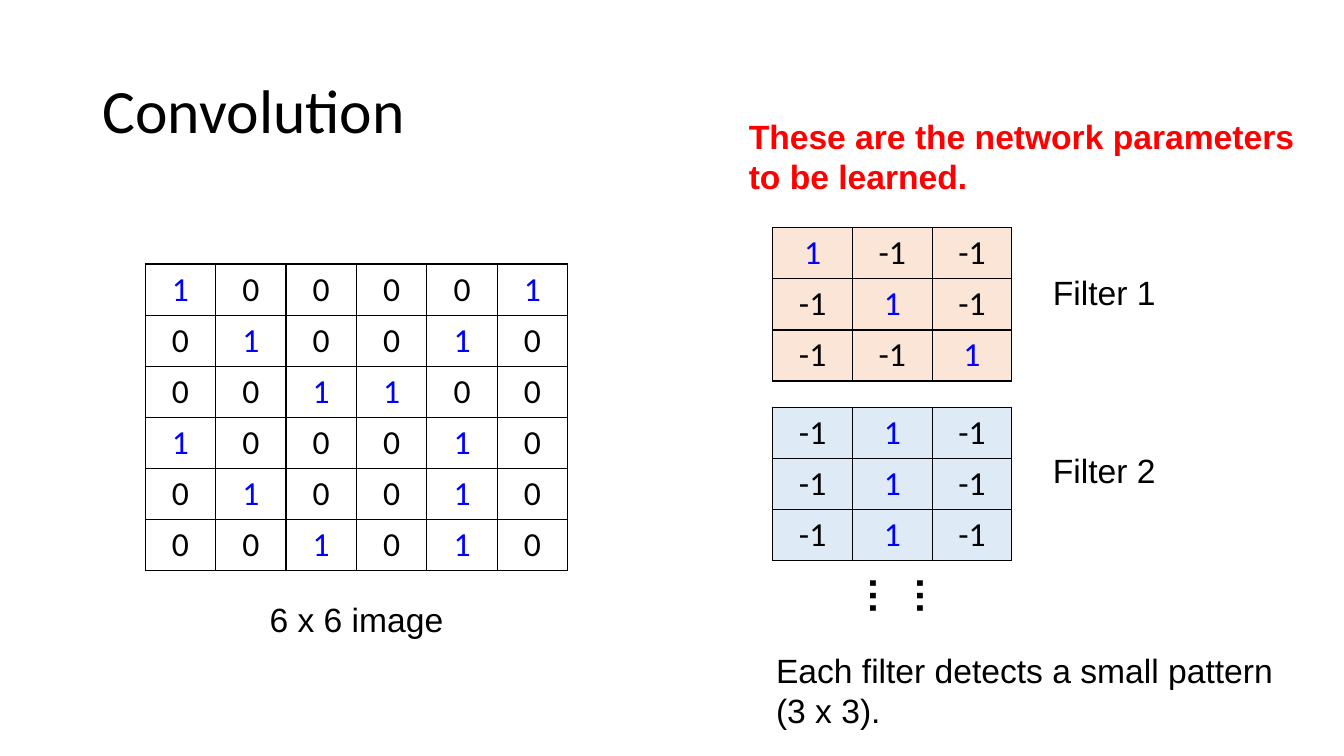
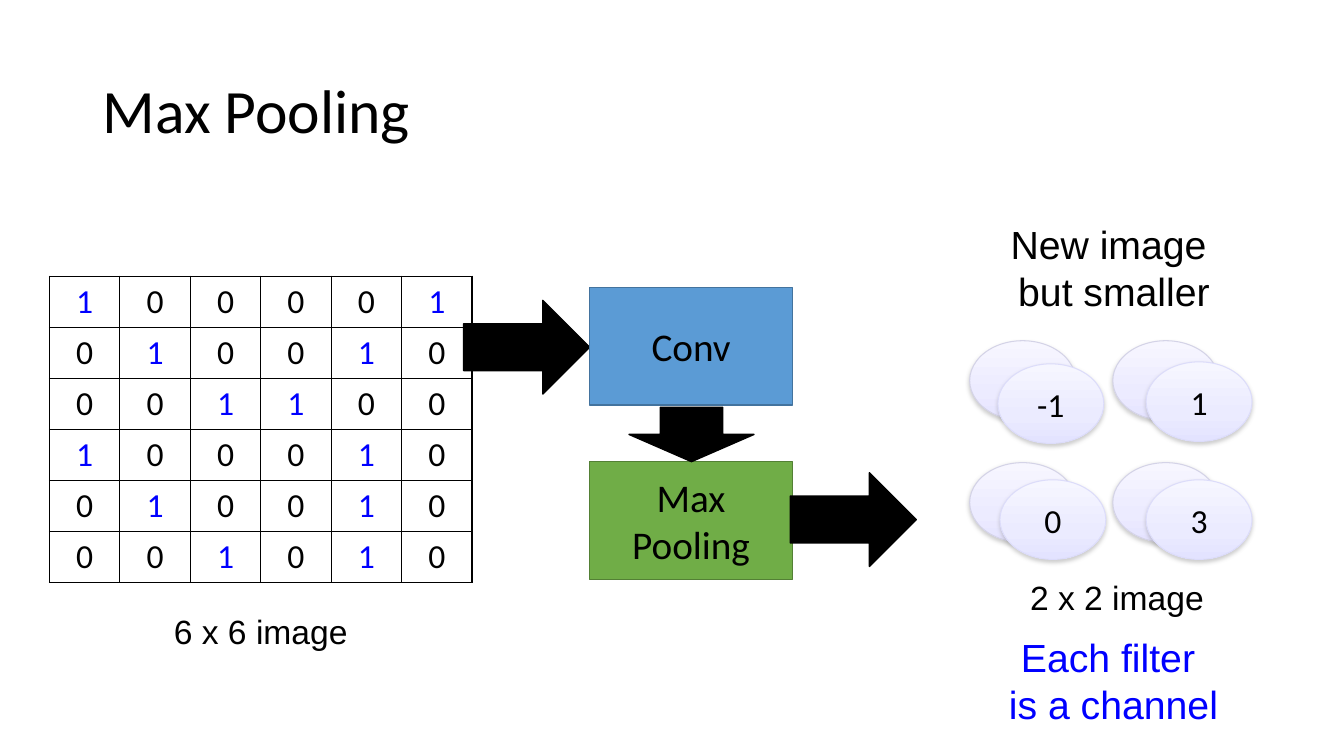
"""Build two slides on convolution and max pooling."""
from pptx import Presentation
from pptx.dml.color import RGBColor
from pptx.enum.shapes import MSO_SHAPE as SHAPE
from pptx.enum.text import MSO_ANCHOR as ANCHOR, PP_ALIGN as ALIGN
from pptx.oxml import parse_xml
from pptx.oxml.ns import nsdecls, qn
from pptx.util import Inches, Pt

rgb = RGBColor.from_string
BLACK, BLUE, RED = "000000", "0000FF", "FF0000"
PEACH, SKY = "FBE5D6", "DEEBF7"
NS = nsdecls("a")

prs = Presentation()
prs.slide_width, prs.slide_height = Inches(13.33), Inches(7.5)


def at(x, y, w, h):
    """Turn shares of the slide, in percent, into left, top, width, height."""
    W, H = prs.slide_width, prs.slide_height
    return [int(share * side / 100) for share, side in zip((x, y, w, h), (W, H, W, H))]


def write(tf, text, size=24, name="Arial", color=BLACK, bold=False, align=ALIGN.CENTER, spacing=1.0):
    """Fill a text frame with one paragraph per line of text."""
    tf.word_wrap = True
    for i, line in enumerate(text.split("\n")):
        p = tf.paragraphs[0] if i == 0 else tf.add_paragraph()
        p.alignment, p.line_spacing = align, spacing
        r = p.add_run()
        r.text = line
        for key, value in {"size": Pt(size), "name": name, "bold": bold}.items():
            setattr(r.font, key, value)
        r.font.color.rgb = rgb(color)


slides = []
for title in ("Convolution", "Max Pooling"):
    s = prs.slides.add_slide(prs.slide_layouts[6])
    sp = s.shapes.add_textbox(*at(6.9, 5.33, 86.25, 19.33))
    sp.text_frame.vertical_anchor = ANCHOR.MIDDLE
    write(sp.text_frame, title, 44, "Calibri", align=ALIGN.LEFT, spacing=0.9)
    slides.append(s)
conv, pool = slides

IMAGE = ["1 0 0 0 0 1", "0 1 0 0 1 0", "0 0 1 1 0 0", "1 0 0 0 1 0", "0 1 0 0 1 0", "0 0 1 0 1 0"]
FILTER_1 = ["1 -1 -1", "-1 1 -1", "-1 -1 1"]
FILTER_2 = ["-1 1 -1"] * 3
IMAGE_COL, FILTER_COL, ROW = 5.24, 5.93, 6.76

matrices = [
    (conv, IMAGE, 10.8, 34.93, IMAGE_COL, None),
    (conv, FILTER_1, 57.5, 30.13, FILTER_COL, PEACH),
    (conv, FILTER_2, 57.5, 53.87, FILTER_COL, SKY),
    (pool, IMAGE, 3.68, 36.53, IMAGE_COL, None),
]
for s, matrix, x, y, col, fill in matrices:
    n = len(matrix)
    table = s.shapes.add_table(n, n, *at(x, y, col * n, ROW * n)).table
    table.first_row = table.horz_banding = False
    for i, row in enumerate(matrix):
        for j, value in enumerate(row.split()):
            cell = table.cell(i, j)
            cell.margin_left = cell.margin_right = Inches(0.13)
            write(cell.text_frame, value, name="Calibri", color=BLUE if value == "1" else BLACK)
            if fill:
                cell.fill.solid()
                cell.fill.fore_color.rgb = rgb(fill)
            else:
                cell.fill.background()
            for k, side in enumerate("LRTB"):
                cell._tc.get_or_add_tcPr().insert(k, parse_xml(
                    f'<a:ln{side} {NS} w="{Pt(1)}"><a:solidFill><a:srgbClr val="{BLACK}"/>'
                    f'</a:solidFill></a:ln{side}>'))
    if matrix is IMAGE:
        sp = s.shapes.add_textbox(*at(x, y + 43.6, col * n, 6.67))
        write(sp.text_frame, "6 x 6 image")

labels = [
    (conv, "Filter 1", (74.25, 35.33, 15.83, 6.8), {}),
    (conv, "Filter 2", (74.25, 58.8, 15.83, 6.8), {}),
    (conv, "These are the network parameters to be learned.", (54.98, 14.67, 43.35, 12.13),
     {"color": RED, "bold": True, "align": ALIGN.LEFT}),
    (conv, "Each filter detects a small pattern (3 x 3).", (57, 85.33, 38.93, 12.13),
     {"align": ALIGN.LEFT}),
    (pool, "2 x 2 image", (70.28, 75.6, 25.65, 6.8), {}),
    (pool, "Each filter \nis a channel", (70.43, 83.07, 24.83, 14), {"size": 28, "color": BLUE}),
    (pool, "New image \nbut smaller", (70.43, 28.53, 24.9, 13.87), {"size": 28}),
]
for s, text, place, style in labels:
    write(s.shapes.add_textbox(*at(*place)).text_frame, text, **style)

dots = conv.shapes.add_textbox(*at(64.73, 73.2, 5.78, 13.87))
dots.rotation = 90
write(dots.text_frame, "……", 28, bold=True, align=ALIGN.LEFT)

BACK = ("F7F6FF", "ECEBFF", "E5E3FF", "D4D3E7")
FRONT = ("F6F6FF", "EBEBFF", "E3E3FF", "DCDCFA")
ovals = [("", x, y, BACK) for y in (45.07, 61.2) for x in (72.15, 82.8)]
ovals += [
    ("-1", 74.25, 48.13, FRONT),
    ("1", 85.28, 47.87, FRONT),
    ("0", 74.4, 63.47, FRONT),
    ("3", 85.28, 63.47, FRONT),
]
for text, x, y, (*stops, edge) in ovals:
    sp = pool.shapes.add_shape(SHAPE.OVAL, *at(x, y, 7.88, 10.53))
    sp.fill.gradient()
    sp.fill.gradient_angle = 270
    sp.line.color.rgb, sp.line.width = rgb(edge), Pt(0.75)
    sp.shadow.inherit = False
    spPr = sp._element.spPr
    grad = spPr.find(qn("a:gradFill"))
    gs = "".join(f'<a:gs pos="{pos}000"><a:srgbClr val="{c}"/></a:gs>' for pos, c in zip((0, 65, 100), stops))
    grad.replace(grad.find(qn("a:gsLst")), parse_xml(f"<a:gsLst {NS}>{gs}</a:gsLst>"))
    spPr.find(qn("a:effectLst")).append(parse_xml(
        f'<a:outerShdw {NS} blurRad="{Pt(3.1)}" dist="{Pt(1.6)}" dir="5400000" rotWithShape="0">'
        '<a:srgbClr val="808080"><a:alpha val="38000"/></a:srgbClr></a:outerShdw>'))
    if text:
        sp.text_frame.vertical_anchor = ANCHOR.MIDDLE
        write(sp.text_frame, text, name="Calibri")

steps = [
    (SHAPE.RIGHT_ARROW, "", (34.5, 39.73, 9.38, 12.4), BLACK, BLACK),
    (SHAPE.RECTANGLE, "Conv", (43.88, 38, 15.08, 15.6), "5B9BD5", "43739E"),
    (SHAPE.RECTANGLE, "Max\nPooling", (43.88, 61.07, 15.08, 15.6), "70AD47", "538035"),
    (SHAPE.RIGHT_ARROW, "", (58.8, 62.53, 9.38, 12.4), BLACK, BLACK),
    (SHAPE.DOWN_ARROW, "", (46.8, 53.87, 9.3, 7.2), BLACK, BLACK),
]
for kind, text, place, fill, edge in steps:
    sp = pool.shapes.add_shape(kind, *at(*place))
    sp.shadow.inherit = False
    sp.fill.solid()
    sp.fill.fore_color.rgb = rgb(fill)
    sp.line.color.rgb, sp.line.width = rgb(edge), Pt(1)
    if text:
        sp.text_frame.vertical_anchor = ANCHOR.MIDDLE
        write(sp.text_frame, text, 28, "Calibri")

prs.save("out.pptx")
